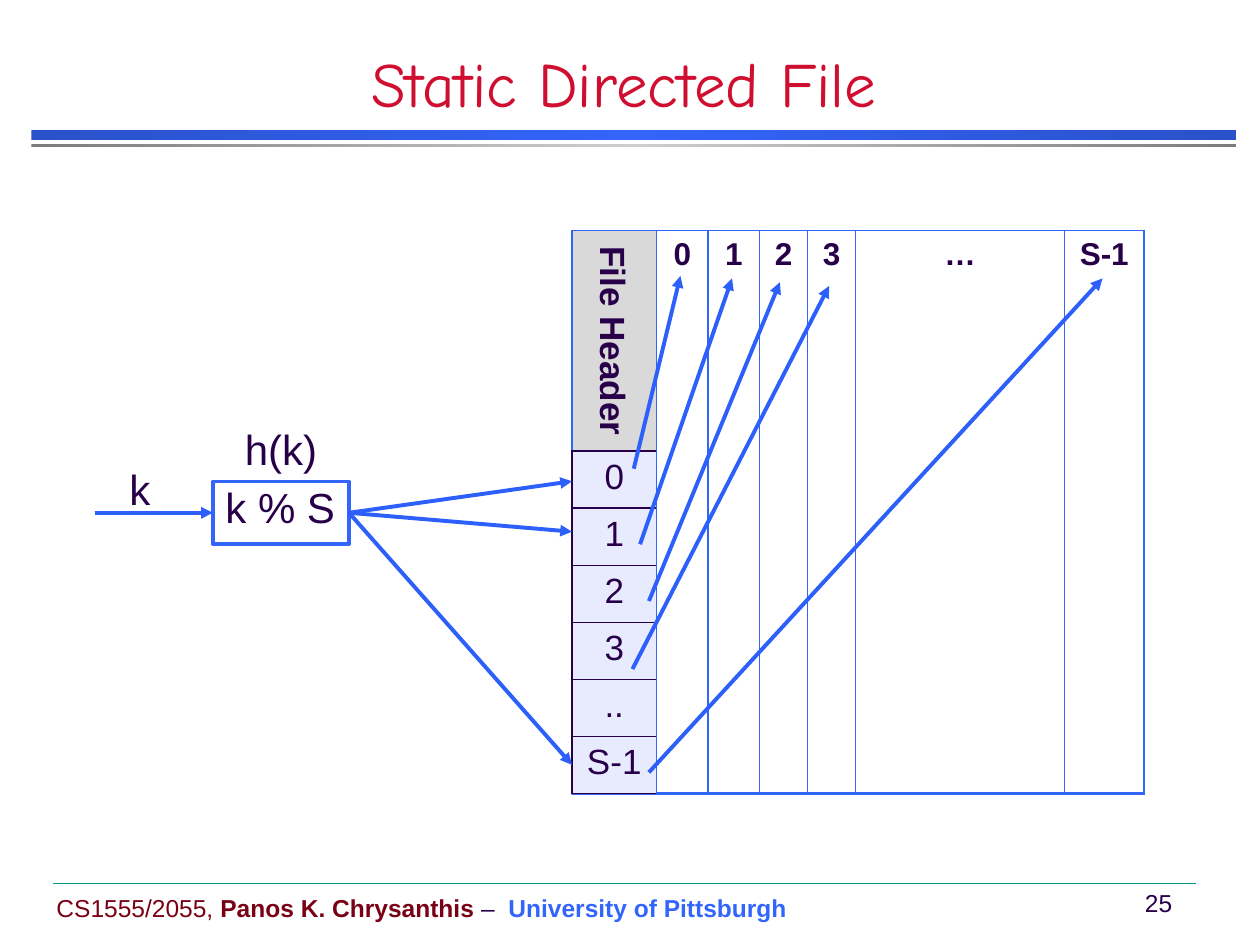
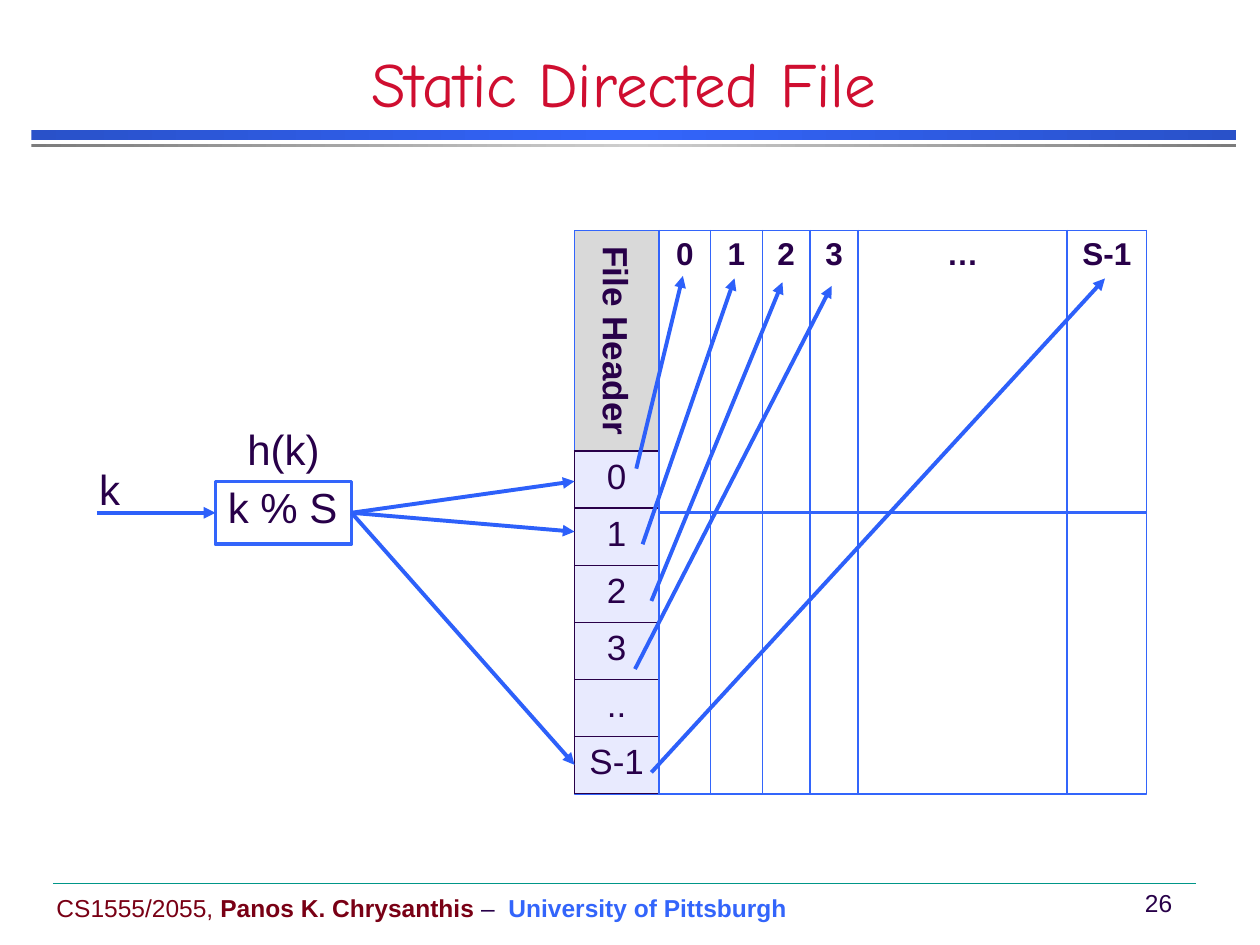
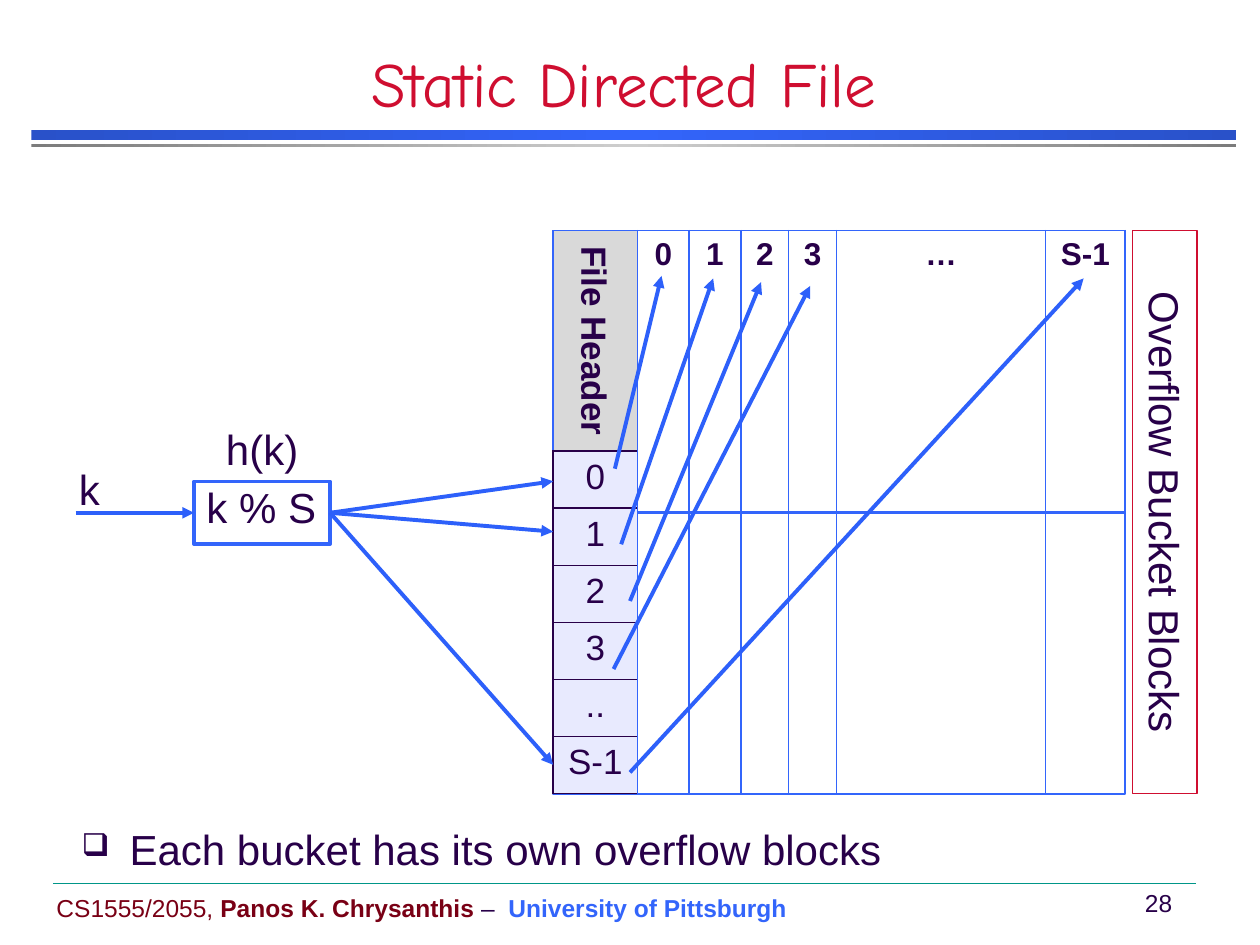
from lxml.etree import SubElement
from pptx import Presentation
from pptx.dml.color import RGBColor
from pptx.enum.shapes import MSO_CONNECTOR, MSO_SHAPE
from pptx.enum.text import MSO_ANCHOR, PP_ALIGN
from pptx.oxml.ns import qn
from pptx.util import Inches, Pt

COLORS = {
    "ink": "280049",
    "blue": "3365FB",
    "arrow": "2D60FA",
    "deep_blue": "2951C9",
    "gray": "7C7C7C",
    "light_gray": "CECECE",
    "header": "D9D9D9",
    "entry": "E8EAFE",
    "red": "CF0E30",
    "maroon": "790015",
    "teal": "009688",
    "white": "FFFFFF",
}
BUCKETS = ["0", "1", "2", "3", "…", "S-1"]
ENTRIES = ["0", "1", "2", "3", "..", "S-1"]
BUCKET_WIDTHS = [0.41, 0.41, 0.38, 0.38, 1.66, 0.63]
FILE_TOP, FILE_HEIGHT, FILE_WIDTH = 1.83, 4.47, 4.54
HEADER_HEIGHT, HEADER_WIDTH = 1.75, 0.67
HASH_Y = 4.07
HASHED_ENTRY_YS = [3.82, 6.07, 4.22]
BUCKET_POINTERS = [
    ((0.49, 3.72), (0.86, 2.19)),
    ((0.54, 4.32), (1.27, 2.21)),
    ((0.61, 4.77), (1.65, 2.24)),
    ((0.48, 5.31), (2.04, 2.27)),
    ((0.61, 6.13), (4.21, 2.21)),
]


def rgb(name):
    return RGBColor.from_string(COLORS[name])


class Deck:
    def __init__(self):
        self.presentation = Presentation()
        self.presentation.slide_width = Inches(10)
        self.presentation.slide_height = Inches(7.5)
        self.slide = None

    def start_slide(self, title, number):
        layout = self.presentation.slide_layouts[6]
        self.slide = self.presentation.slides.add_slide(layout)
        self.gradient_band(1.03, 0.08, "deep_blue", "blue")
        self.gradient_band(1.14, 0.03, "gray", "light_gray")
        self.text(0.35, 7.04, 6.04, 0.33, [
            ("CS1555/2055, ", "maroon", False),
            ("Panos K. Chrysanthis", "maroon", True),
            (" –  ", "ink", False),
            ("University of Pittsburgh", "blue", True),
        ], 14, align=PP_ALIGN.LEFT, anchor=MSO_ANCHOR.MIDDLE)
        self.text(8.95, 7, 0.49, 0.33, [(str(number), "ink", False)], 14,
                  anchor=MSO_ANCHOR.MIDDLE)
        self.line((0.42, 7.01), (9.49, 7.01), "teal", 0.25)
        self.text(0, 0.42, 9.9, 0.58, [(title, "red", False)], 36,
                  font="Comic Neue", anchor=MSO_ANCHOR.BOTTOM)

    def add_runs(self, frame, runs, size, font="Arial", align=PP_ALIGN.CENTER):
        paragraph = frame.paragraphs[0]
        paragraph.alignment = align
        for words, color, bold in runs:
            run = paragraph.add_run()
            run.text = words
            run.font.size = Pt(size)
            run.font.name = font
            run.font.bold = bold
            run.font.color.rgb = rgb(color)
        return paragraph

    def text(self, left, top, width, height, runs, size, font="Arial",
             align=PP_ALIGN.CENTER, anchor=MSO_ANCHOR.TOP):
        box = self.slide.shapes.add_textbox(
            Inches(left), Inches(top), Inches(width), Inches(height))
        box.text_frame.word_wrap = True
        box.text_frame.vertical_anchor = anchor
        return self.add_runs(box.text_frame, runs, size, font, align)

    def rectangle(self, left, top, width, height, fill=None, line=None, weight=1):
        shape = self.slide.shapes.add_shape(
            MSO_SHAPE.RECTANGLE,
            Inches(left), Inches(top), Inches(width), Inches(height))
        shape.shadow.inherit = False
        if fill:
            shape.fill.solid()
            shape.fill.fore_color.rgb = rgb(fill)
        else:
            shape.fill.background()
        if line:
            shape.line.color.rgb = rgb(line)
            shape.line.width = Pt(weight)
        else:
            shape.line.fill.background()
        shape.text_frame.vertical_anchor = MSO_ANCHOR.TOP
        return shape

    def upright_label(self, left, top, width, height, run, size, fill, line,
                      weight, anchor):
        shift = (height - width) / 2
        shape = self.rectangle(left - shift, top + shift, height, width,
                               fill, line, weight)
        shape.rotation = 90
        shape.text_frame.vertical_anchor = anchor
        self.add_runs(shape.text_frame, [run], size)

    def gradient_band(self, top, height, edge, middle):
        band = self.rectangle(0.25, top, 9.56, height)
        band.fill.gradient()
        band.fill.gradient_angle = 0
        stops = next(band._element.iter(qn("a:gsLst")))
        for stop in list(stops):
            stops.remove(stop)
        for position, color in [(0, edge), (50000, middle), (100000, edge)]:
            stop = SubElement(stops, qn("a:gs"), pos=str(position))
            SubElement(stop, qn("a:srgbClr"), val=COLORS[color])

    def line(self, start, end, color, weight):
        connector = self.slide.shapes.add_connector(
            MSO_CONNECTOR.STRAIGHT, *map(Inches, (*start, *end)))
        connector.line.color.rgb = rgb(color)
        connector.line.width = Pt(weight)
        SubElement(connector._element.spPr, qn("a:effectLst"))
        return connector

    def arrow(self, start, end):
        connector = self.line(start, end, "arrow", 2.25)
        outline = connector._element.spPr.find(qn("a:ln"))
        SubElement(outline, qn("a:tailEnd"), type="triangle")
        return connector

    def table(self, left, top, widths, heights):
        table = self.slide.shapes.add_table(
            len(heights), len(widths), Inches(left), Inches(top),
            Inches(sum(widths)), Inches(sum(heights))).table
        table.first_row = False
        table.horz_banding = False
        for column, width in zip(table.columns, widths):
            column.width = Inches(width)
        for row, height in zip(table.rows, heights):
            row.height = Inches(height)
        return table

    def style_cell(self, cell, border, fill=None, alpha=None, top=1, bottom=1):
        properties = cell._tc.get_or_add_tcPr()
        for side, weight in [("L", 1), ("R", 1), ("T", top), ("B", bottom)]:
            edge = SubElement(properties, qn(f"a:ln{side}"), w=str(Pt(weight)))
            solid = SubElement(edge, qn("a:solidFill"))
            SubElement(solid, qn("a:srgbClr"), val=COLORS[border])
        if not fill:
            cell.fill.background()
            return
        cell.fill.solid()
        cell.fill.fore_color.rgb = rgb(fill)
        if alpha:
            color = properties.find(qn("a:solidFill")).find(qn("a:srgbClr"))
            SubElement(color, qn("a:alpha"), val=str(alpha * 1000))

    def hang(self, paragraph, bullet=None):
        properties = paragraph._p.get_or_add_pPr()
        properties.set("marL", str(Inches(0.38)))
        properties.set("indent", str(Inches(-0.38)))
        if bullet:
            SubElement(properties, qn("a:buSzPct"), val="75000")
            SubElement(properties, qn("a:buChar"), char=bullet)

    def directory(self, left):
        height = (FILE_HEIGHT - HEADER_HEIGHT) / len(ENTRIES)
        entries = self.table(left, FILE_TOP + HEADER_HEIGHT, [HEADER_WIDTH],
                             [height] * len(ENTRIES))
        for row, entry in enumerate(ENTRIES):
            cell = entries.cell(row, 0)
            self.style_cell(cell, "ink", "entry")
            self.add_runs(cell.text_frame, [(entry, "ink", False)], 20)

    def buckets(self, left, row_count):
        table = self.table(left, FILE_TOP, BUCKET_WIDTHS,
                           [FILE_HEIGHT / row_count] * row_count)
        for column, bucket in enumerate(BUCKETS):
            primary = table.cell(0, column)
            self.style_cell(primary, "blue", bottom=2)
            self.add_runs(primary.text_frame, [(bucket, "ink", True)], 18)
            for row in range(1, row_count):
                self.style_cell(table.cell(row, column), "blue", "white", 20, top=2)

    def hash_function(self, left, file_left, key_left):
        box = self.rectangle(left, 3.82, 1.08, 0.5, "white", "blue", 2)
        formula = self.add_runs(box.text_frame, [("k % S", "ink", False)], 24,
                                align=PP_ALIGN.LEFT)
        formula.line_spacing = 0.9
        formula.space_before = Pt(4.8)
        self.hang(formula)
        for entry_y in HASHED_ENTRY_YS:
            self.arrow((left + 1.08, HASH_Y), (file_left, entry_y)).begin_connect(box, 3)
        self.arrow((left - 0.94, HASH_Y), (left, HASH_Y)).end_connect(box, 1)
        self.text(left, 3.31, 1.08, 0.51, [("h(k)", "ink", False)], 24)
        self.text(key_left, 3.63, 1.08, 0.51, [("k", "ink", False)], 24)

    def directed_file(self, left, key_left, bucket_rows):
        self.upright_label(left, FILE_TOP, HEADER_WIDTH, HEADER_HEIGHT,
                           ("File Header", "ink", True), 20, "header", "blue", 1,
                           MSO_ANCHOR.MIDDLE)
        self.rectangle(left, FILE_TOP, FILE_WIDTH, FILE_HEIGHT, line="blue")
        self.directory(left)
        self.buckets(left + HEADER_WIDTH, bucket_rows)
        self.hash_function(left - 2.85, left, key_left)
        for (start_x, start_y), (end_x, end_y) in BUCKET_POINTERS:
            self.arrow((left + start_x, start_y), (left + end_x, end_y))

    def overflow(self, left):
        self.upright_label(left, FILE_TOP, 0.51, FILE_HEIGHT,
                           ("Overflow Bucket Blocks", "ink", False), 24, None,
                           "red", 0.75, MSO_ANCHOR.TOP)
        remark = self.text(
            0.55, 6.49, 6.79, 0.5,
            [("Each bucket has its own overflow blocks", "ink", False)], 24,
            align=PP_ALIGN.LEFT)
        self.hang(remark, "❑")


def main():
    deck = Deck()
    for number, file_left, key_left, bucket_rows in [
        (25, 4.54, 0.57, 1),
        (26, 4.56, 0.33, 2),
        (28, 4.39, 0.17, 2),
    ]:
        deck.start_slide("Static Directed File", number)
        deck.directed_file(file_left, key_left, bucket_rows)
    deck.overflow(8.99)
    deck.presentation.save("out.pptx")


if __name__ == "__main__":
    main()
